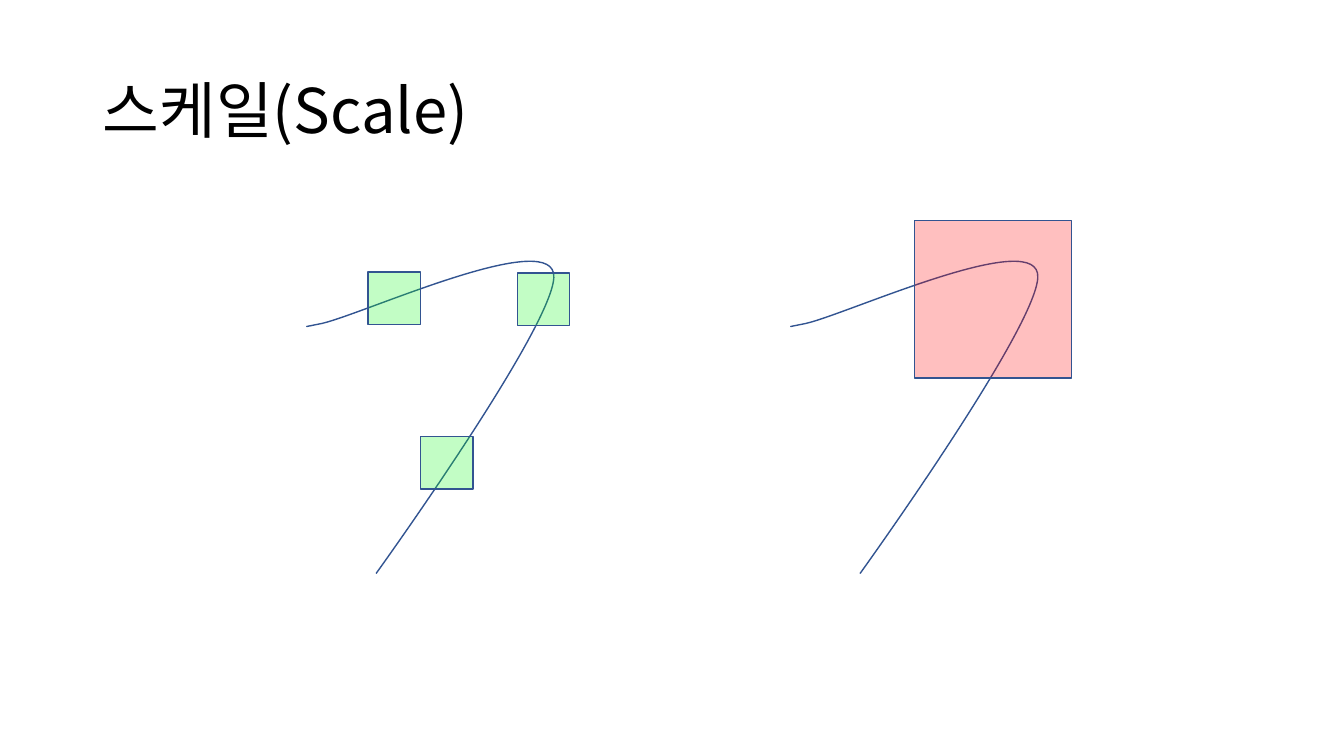
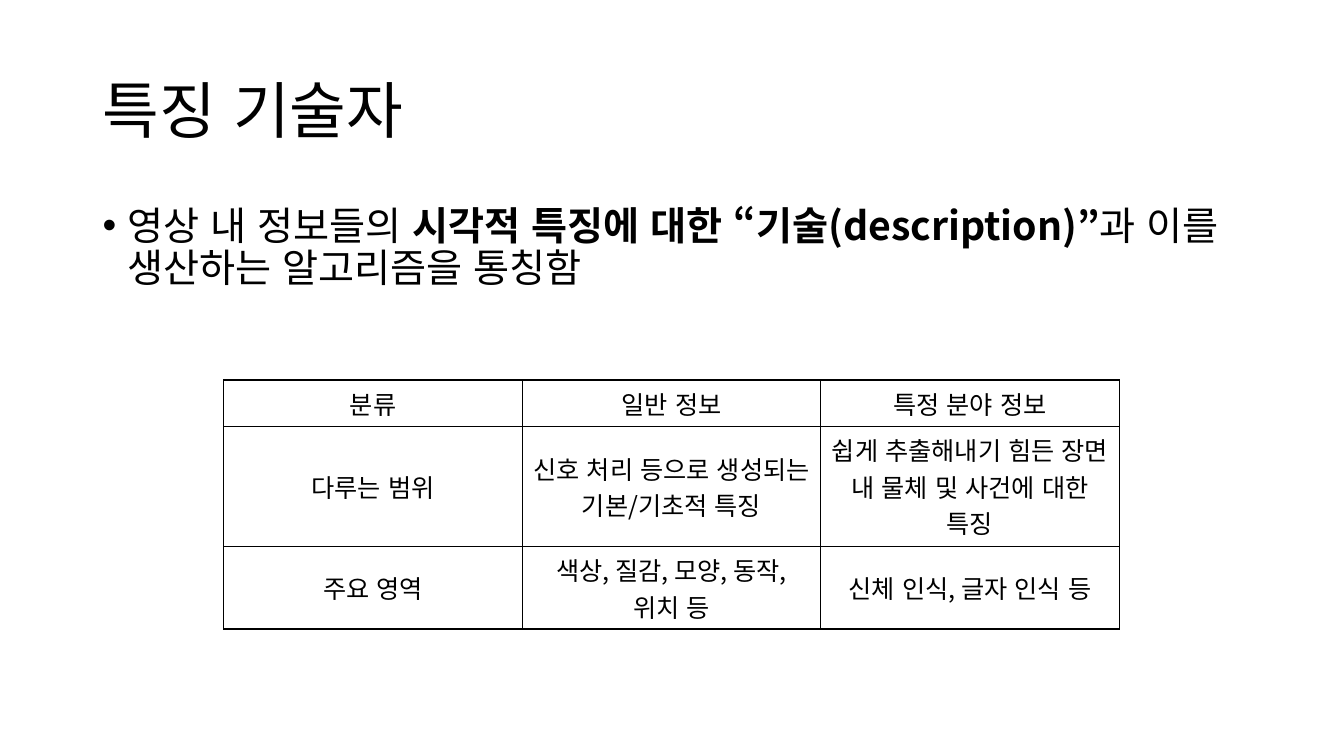
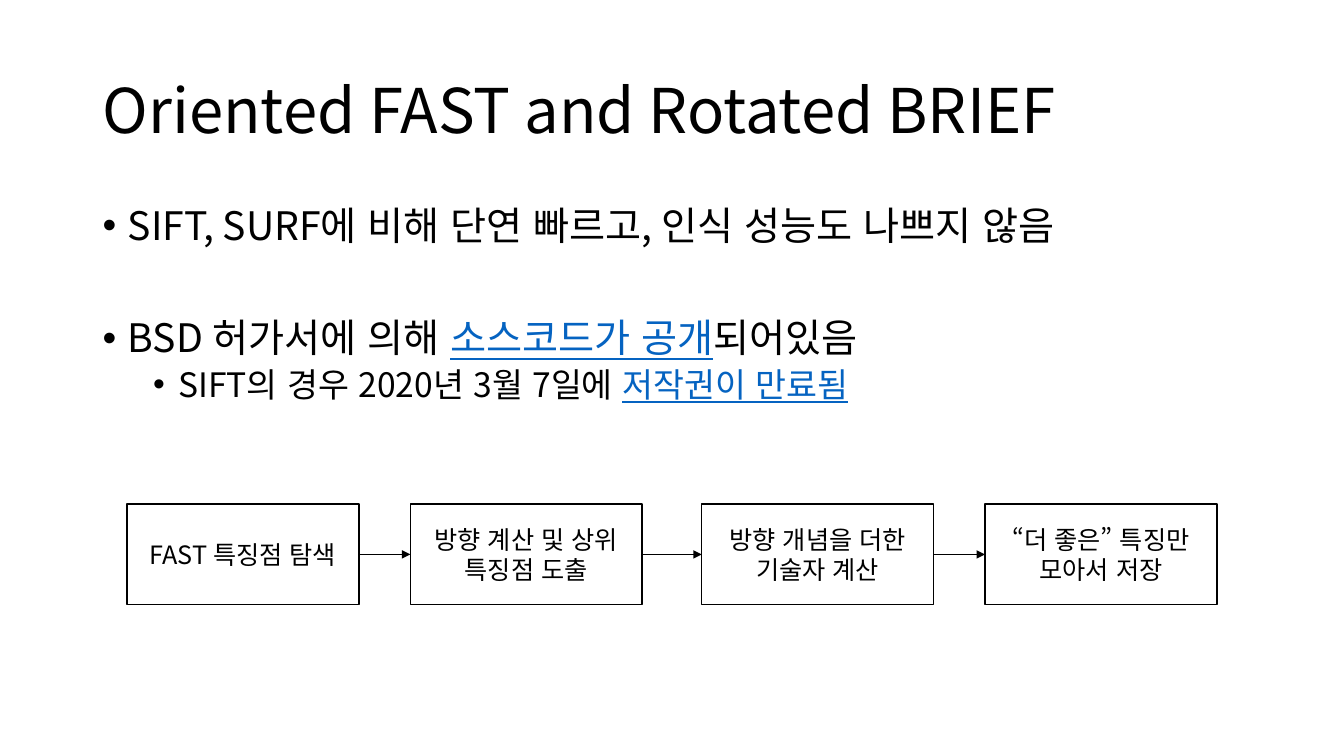
import lxml.etree
import pptx
import pptx.dml.color
import pptx.enum.lang
import pptx.enum.shapes
import pptx.enum.text
import pptx.oxml.ns
import pptx.util

Inches, Pt = pptx.util.Inches, pptx.util.Pt
qn = pptx.oxml.ns.qn
PP_ALIGN = pptx.enum.text.PP_ALIGN
MIDDLE = pptx.enum.text.MSO_ANCHOR.MIDDLE
RECTANGLE = pptx.enum.shapes.MSO_SHAPE.RECTANGLE
STRAIGHT = pptx.enum.shapes.MSO_CONNECTOR.STRAIGHT
KOREAN = pptx.enum.lang.MSO_LANGUAGE_ID.KOREAN

FONT = "Noto Sans CJK KR"
COLORS = {
    "text": "000000",
    "link": "0563C1",
    "outline": "325491",
    "small_window": "0FF91A",
    "large_window": "FF0000",
}

SCALE_TITLE = "스케일(Scale)"
CURVE_SHIFTS = [0, 4.8]
CURVE_CORNERS = [(3.04, 2.59), (5.49, 5.69)]
CURVE_STEPS = [
    ("moveTo", [(3.09, 3.23)]),
    ("cubicBezTo", [(2.94, 3.26), (3.19, 3.21), (3.19, 3.21)]),
    ("cubicBezTo", [(3.59, 3.12), (5.4, 2.29), (5.49, 2.71)]),
    ("cubicBezTo", [(5.58, 3.12), (3.73, 5.69), (3.73, 5.69)]),
]
WINDOWS = [
    (9.07, 2.19, 1.56, "large_window"),
    (5.13, 2.71, 0.52, "small_window"),
    (4.17, 4.33, 0.52, "small_window"),
    (3.65, 2.7, 0.52, "small_window"),
]
WINDOW_OPACITY = 25

DESCRIPTOR_TITLE = "특징 기술자"
DESCRIPTOR_BULLETS = [
    (0, 10, [
        ("영상 내 정보들의 ", None),
        ("시각적 특징에 대한 “기술(description)”", "bold"),
        ("과 이를 생산하는 알고리즘을 통칭함", None),
    ]),
]
DESCRIPTOR_ROWS = [
    ["분류", "일반 정보", "특정 분야 정보"],
    ["다루는 범위", "신호 처리 등으로 생성되는 기본/기초적 특징",
     "쉽게 추출해내기 힘든 장면 내 물체 및 사건에 대한 특징"],
    ["주요 영역", "색상, 질감, 모양, 동작, 위치 등", "신체 인식, 글자 인식 등"],
]
ROW_HEIGHTS = [0.46, 1.19, 0.82]
COLUMN_WIDTH = 2.96

ORB_TITLE = "Oriented FAST and Rotated BRIEF"
ORB_BULLETS = [
    (0, 10, [("SIFT, SURF에 비해 단연 빠르고, 인식 성능도 나쁘지 않음", None)]),
    (0, 50, [("BSD 허가서에 의해 ", None), ("소스코드가 공개", "link"), ("되어있음", None)]),
    (1, 5, [("SIFT의 경우 2020년 3월 7일에 ", None), ("저작권이 만료됨", "link")]),
]
BULLET_SIZES = [28, 24]
ORB_STEPS = [
    (1.26, "FAST 특징점 탐색"),
    (4.07, "방향 계산 및 상위 특징점 도출"),
    (6.96, "방향 개념을 더한 기술자 계산"),
    (9.77, "“더 좋은” 특징만 모아서 저장"),
]


def color(name):
    return pptx.dml.color.RGBColor.from_string(COLORS[name])


def style_paragraph(para, size, align=PP_ALIGN.LEFT):
    para.alignment = align
    font = para.font
    font.size = Pt(size)
    font.color.rgb = color("text")
    font.name = FONT
    font.language_id = KOREAN
    east_asian = lxml.etree.SubElement(para._p.pPr.find(qn("a:defRPr")), qn("a:ea"))
    east_asian.set("typeface", FONT)
    for span in para.runs:
        span.font.language_id = KOREAN


def add_text_box(page, top, height):
    box = page.shapes.add_textbox(Inches(0.92), Inches(top), Inches(11.5), Inches(height))
    box.text_frame.word_wrap = True
    return box.text_frame


def add_page(deck, title):
    page = deck.slides.add_slide(deck.slide_layouts[6])
    frame = add_text_box(page, 0.4, 1.45)
    frame.vertical_anchor = MIDDLE
    para = frame.paragraphs[0]
    para.text = title
    para.line_spacing = 0.9
    style_paragraph(para, 44)
    return page


def add_bullets(page, bullets):
    frame = add_text_box(page, 2, 4.76)
    for index, (level, space_before, spans) in enumerate(bullets):
        para = frame.add_paragraph() if index else frame.paragraphs[0]
        para.level = level
        para.line_spacing = 0.9
        para.space_before = Pt(space_before)
        properties = para._p.get_or_add_pPr()
        properties.set("marL", str(Inches(0.25 + 0.5 * level)))
        properties.set("indent", str(Inches(-0.25)))
        bullet_font = lxml.etree.SubElement(properties, qn("a:buFont"))
        bullet_font.set("typeface", "Arial")
        lxml.etree.SubElement(properties, qn("a:buChar")).set("char", "•")
        for text, style in spans:
            span = para.add_run()
            span.text = text
            if style == "bold":
                span.font.bold = True
            elif style == "link":
                span.font.underline = True
                span.font.color.rgb = color("link")
        style_paragraph(para, BULLET_SIZES[level])


def set_outline(shape, name):
    shape.shadow.inherit = False
    shape.line.color.rgb = color(name)
    shape.line.width = Pt(1)


def add_curve(page, shift):
    corners = [(Inches(x + shift), Inches(y)) for x, y in CURVE_CORNERS]
    builder = page.shapes.build_freeform(*corners[0])
    builder.add_line_segments(corners[1:], close=False)
    curve = builder.convert_to_shape()
    outline = next(curve._element.iter(qn("a:path")))
    for segment in list(outline):
        outline.remove(segment)
    left, top = CURVE_CORNERS[0]
    for kind, points in CURVE_STEPS:
        segment = lxml.etree.SubElement(outline, qn("a:" + kind))
        for x, y in points:
            point = lxml.etree.SubElement(segment, qn("a:pt"))
            point.set("x", str(Inches(x - left)))
            point.set("y", str(Inches(y - top)))
    curve.fill.background()
    set_outline(curve, "outline")


def add_window(page, left, top, side, fill):
    window = page.shapes.add_shape(
        RECTANGLE, Inches(left), Inches(top), Inches(side), Inches(side))
    window.fill.solid()
    window.fill.fore_color.rgb = color(fill)
    tint = window._element.spPr.find(qn("a:solidFill"))[0]
    lxml.etree.SubElement(tint, qn("a:alpha")).set("val", str(WINDOW_OPACITY * 1000))
    set_outline(window, "outline")


def add_cell_borders(cell):
    properties = cell._tc.get_or_add_tcPr()
    for index, side in enumerate(("lnL", "lnR", "lnT", "lnB")):
        border = lxml.etree.Element(qn("a:" + side), w=str(Pt(1)))
        fill = lxml.etree.SubElement(border, qn("a:solidFill"))
        lxml.etree.SubElement(fill, qn("a:srgbClr")).set("val", COLORS["text"])
        properties.insert(index, border)


def add_descriptor_table(page):
    columns = len(DESCRIPTOR_ROWS[0])
    table = page.shapes.add_table(
        len(DESCRIPTOR_ROWS), columns, Inches(2.22), Inches(3.77),
        Inches(COLUMN_WIDTH * columns), Inches(sum(ROW_HEIGHTS))).table
    table.first_row = False
    table.horz_banding = False
    for column in table.columns:
        column.width = Inches(COLUMN_WIDTH)
    for row, height, texts in zip(table.rows, ROW_HEIGHTS, DESCRIPTOR_ROWS):
        row.height = Inches(height)
        for cell, text in zip(row.cells, texts):
            cell.text = text
            cell.vertical_anchor = MIDDLE
            cell.fill.background()
            style_paragraph(cell.text_frame.paragraphs[0], 18, PP_ALIGN.CENTER)
            add_cell_borders(cell)


def add_step(page, left, text):
    box = page.shapes.add_shape(RECTANGLE, Inches(left), Inches(5), Inches(2.3), Inches(1))
    box.fill.background()
    set_outline(box, "text")
    frame = box.text_frame
    frame.word_wrap = True
    frame.vertical_anchor = MIDDLE
    para = frame.paragraphs[0]
    para.text = text
    style_paragraph(para, 18, PP_ALIGN.CENTER)
    return box


def add_arrow(page, source, target):
    arrow = page.shapes.add_connector(STRAIGHT, 0, 0, 0, 0)
    arrow.begin_connect(source, 3)
    arrow.end_connect(target, 1)
    arrow.line.color.rgb = color("text")
    arrow.line.width = Pt(0.5)
    properties = arrow._element.spPr
    line = properties.find(qn("a:ln"))
    lxml.etree.SubElement(line, qn("a:tailEnd")).set("type", "triangle")
    lxml.etree.SubElement(properties, qn("a:effectLst"))


def main():
    deck = pptx.Presentation()
    deck.slide_width = Inches(13.33)
    deck.slide_height = Inches(7.5)

    scale_page = add_page(deck, SCALE_TITLE)
    for shift in CURVE_SHIFTS:
        add_curve(scale_page, shift)
    for window in WINDOWS:
        add_window(scale_page, *window)

    descriptor_page = add_page(deck, DESCRIPTOR_TITLE)
    add_bullets(descriptor_page, DESCRIPTOR_BULLETS)
    add_descriptor_table(descriptor_page)

    orb_page = add_page(deck, ORB_TITLE)
    add_bullets(orb_page, ORB_BULLETS)
    boxes = [add_step(orb_page, left, text) for left, text in ORB_STEPS]
    for source, target in zip(boxes, boxes[1:]):
        add_arrow(orb_page, source, target)

    deck.save("out.pptx")


if __name__ == "__main__":
    main()
